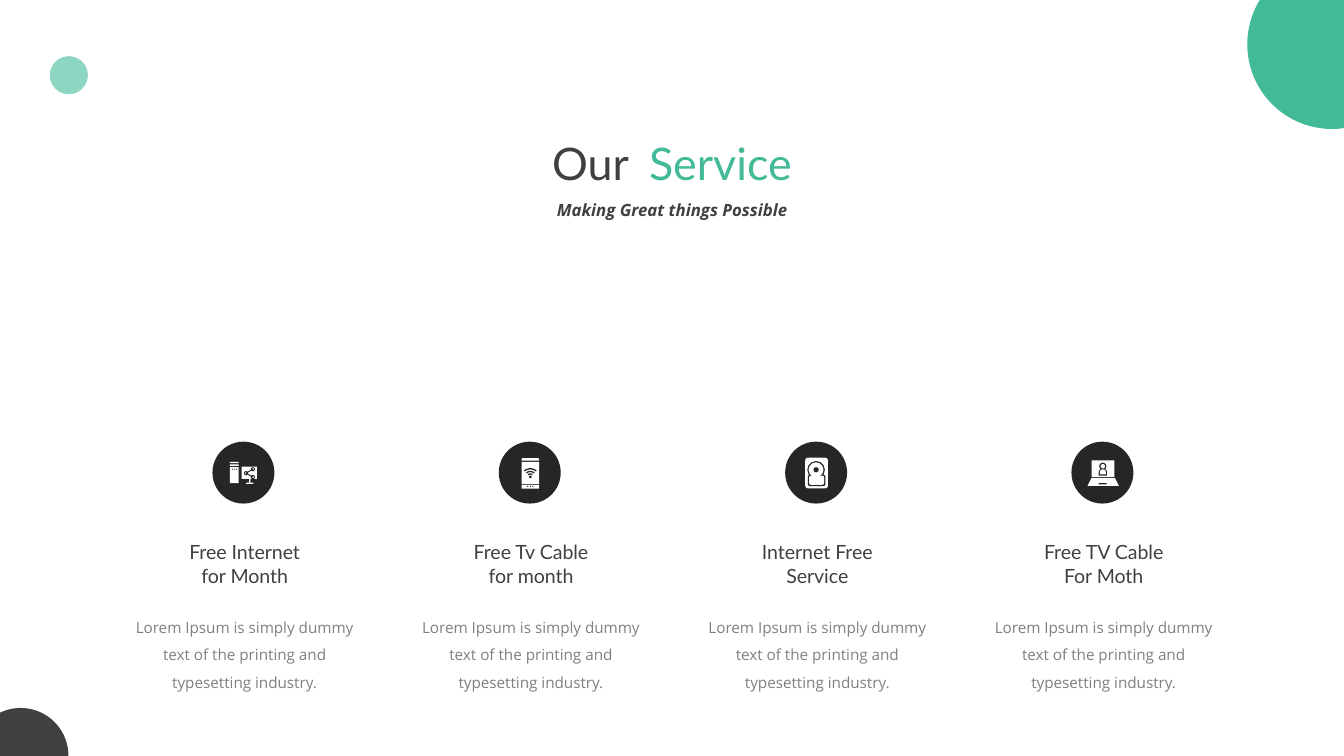
"""Build the "Our Service" slide with four services in columns."""
from lxml.etree import SubElement
from pptx import Presentation
from pptx.dml.color import RGBColor
from pptx.enum.shapes import MSO_CONNECTOR, MSO_SHAPE
from pptx.enum.text import PP_ALIGN
from pptx.oxml.ns import qn
from pptx.util import Pt

GREEN, MINT, GRAY, BLACK = "42BA97", "8DD6C1", "404040", "262626"
WHITE, TEXT_GRAY = "FFFFFF", "808080"
RECT, OVAL, ROUND = MSO_SHAPE.RECTANGLE, MSO_SHAPE.OVAL, MSO_SHAPE.ROUNDED_RECTANGLE
TOP_ROUND, ARC, TRAPEZOID = (
    MSO_SHAPE.ROUND_2_SAME_RECTANGLE, MSO_SHAPE.BLOCK_ARC, MSO_SHAPE.TRAPEZOID)

BODY = "Lorem Ipsum is simply dummy text of the printing and typesetting industry."
SERVICES = [
    ("computer", ["Free Internet", "for Month"]),
    ("phone", ["Free Tv Cable", "for month"]),
    ("disk", ["Internet Free", "Service"]),
    ("laptop", ["Free TV Cable", "For Moth"]),
]
CORNER_CIRCLES = [
    (-14.5, 379.3, 51.2, GRAY),
    (26.7, 30.1, 20.4, MINT),
    (668.2, -21.6, 90.7, GREEN),
]
SHARE_NODES = [(18, 16.9), (21.7, 14.8), (21.7, 19)]


def disc(cx, cy, radius, color):
    return OVAL, cx - radius, cy - radius, 2 * radius, 2 * radius, color


def wifi_arc(radius):
    return (ARC, 16.9 - radius, 18.9 - radius, 2 * radius, 2 * radius, BLACK,
            135, 189, 0.35 / radius)


ICONS = {
    "computer": [
        (RECT, 9.4, 10.8, 4.7, 0.8, WHITE),
        (RECT, 9.4, 12.2, 4.7, 0.9, WHITE),
        (RECT, 9.4, 13.7, 4.7, 8.6, WHITE),
        *[(RECT, x, 14.5, 0.5, 0.5, BLACK) for x in (10.5, 11.6, 12.7)],
        (RECT, 15.6, 13.4, 8.2, 6.6, WHITE),
        (RECT, 19.7, 20, 0.7, 2.2, WHITE),
        (RECT, 18.1, 22, 3.9, 0.6, WHITE),
        *[disc(x, y, 1.1, BLACK) for x, y in SHARE_NODES],
        *[disc(x, y, 0.5, WHITE) for x, y in SHARE_NODES],
    ],
    "phone": [
        (TOP_ROUND, 12.2, 8.9, 9.4, 1.3, WHITE, 0.4),
        (RECT, 12.2, 10.8, 9.4, 12, WHITE),
        (RECT, 12.2, 23.2, 9.4, 2, WHITE),
        *[(RECT, x, 23.8, 0.6, 0.5, BLACK) for x in (15.2, 16.6, 18)],
        *[wifi_arc(radius) for radius in (4.8, 3.3, 1.9)],
        disc(16.9, 18.9, 0.7, BLACK),
    ],
    "disk": [
        (ROUND, 10.8, 8.6, 12.2, 16.4, WHITE, 0.12),
        disc(16.6, 15.1, 4.7, BLACK),
        (ROUND, 12.2, 17.6, 9.4, 6.2, BLACK, 0.2),
        disc(16.6, 15.1, 4, WHITE),
        (ROUND, 12.9, 18.2, 8, 4.9, WHITE, 0.2),
        disc(16.6, 15.1, 1.4, BLACK),
    ],
    "laptop": [
        (RECT, 10.8, 10.1, 12.2, 9, WHITE),
        (TRAPEZOID, 8.6, 19.5, 16.8, 4.2, WHITE, 0.5),
        (RECT, 14.6, 22.2, 4.3, 0.8, BLACK),
        disc(16.8, 13.2, 1.9, BLACK),
        (TOP_ROUND, 14.6, 14.4, 4.4, 3.8, BLACK, 0.5),
        disc(16.8, 13.2, 1.2, WHITE),
        (TOP_ROUND, 15.2, 14.9, 3.2, 2.7, WHITE, 0.5),
    ],
}
ICON_SIZE, ICON_TOP = 33.2, 236.6
FIRST_CENTER, PITCH = 130.4, 153.4


def rgb(color):
    return RGBColor.from_string(color)


def add_shape(s, kind, x, y, w, h, color, *adjustments):
    sp = s.shapes.add_shape(kind, Pt(x), Pt(y), Pt(w), Pt(h))
    sp.shadow.inherit = False
    sp.fill.solid()
    sp.fill.fore_color.rgb = rgb(color)
    sp.line.fill.background()
    for i, value in enumerate(adjustments):
        sp.adjustments[i] = value


def add_line(s, x1, y1, x2, y2):
    line = s.shapes.add_connector(MSO_CONNECTOR.STRAIGHT, Pt(x1), Pt(y1), Pt(x2), Pt(y2))
    line.line.color.rgb = rgb(BLACK)
    line.line.width = Pt(0.5)
    SubElement(line._element.spPr, qn("a:effectLst"))


def add_text(s, center, y, w, h, paragraphs, font, size, spacing=1, bold=False, italic=False):
    tf = s.shapes.add_textbox(Pt(center - w / 2), Pt(y), Pt(w), Pt(h)).text_frame
    tf.word_wrap = True
    for i, runs in enumerate(paragraphs):
        p = tf.paragraphs[0] if i == 0 else tf.add_paragraph()
        p.alignment = PP_ALIGN.CENTER
        p.line_spacing = spacing
        for text, color in runs:
            r = p.add_run()
            r.text = text
            r.font.name, r.font.size = font, Pt(size)
            r.font.bold, r.font.italic = bold, italic
            r.font.color.rgb = rgb(color)
    return tf


def add_icon(s, name, x, y):
    add_shape(s, OVAL, x, y, ICON_SIZE, ICON_SIZE, BLACK)
    for kind, dx, dy, *rest in ICONS[name]:
        add_shape(s, kind, x + dx, y + dy, *rest)
    if name == "computer":
        (hub_x, hub_y), *ends = SHARE_NODES
        for end_x, end_y in ends:
            add_line(s, x + hub_x, y + hub_y, x + end_x, y + end_y)


def main():
    prs = Presentation()
    prs.slide_width, prs.slide_height = Pt(720), Pt(405)
    s = prs.slides.add_slide(prs.slide_layouts[6])

    for i, (icon, heading) in enumerate(SERVICES):
        center = FIRST_CENTER + i * PITCH
        add_text(s, center + 0.7, 322.6, 139.7, 50.4, [[(BODY, TEXT_GRAY)]],
                 "Open Sans", 8.2, spacing=1.5)
        add_text(s, center + 0.7, 285.8, 120, 32.4,
                 [[(line, GRAY)] for line in heading], "Lato", 10.5)
        add_icon(s, icon, center - ICON_SIZE / 2, ICON_TOP)

    title = add_text(s, 360, 69.1, 267.8, 36,
                     [[("Our", GRAY), (" ", GRAY), ("Service", GREEN)]], "Lato", 24)
    title.paragraphs[0].runs[1].font._element.set("spc", "460")
    add_text(s, 360, 103.7, 167.8, 18, [[("Making Great things Possible", GRAY)]],
             "Open Sans", 9, bold=True, italic=True)

    for x, y, size, color in CORNER_CIRCLES:
        add_shape(s, OVAL, x, y, size, size, color)
    prs.save("out.pptx")


if __name__ == "__main__":
    main()
